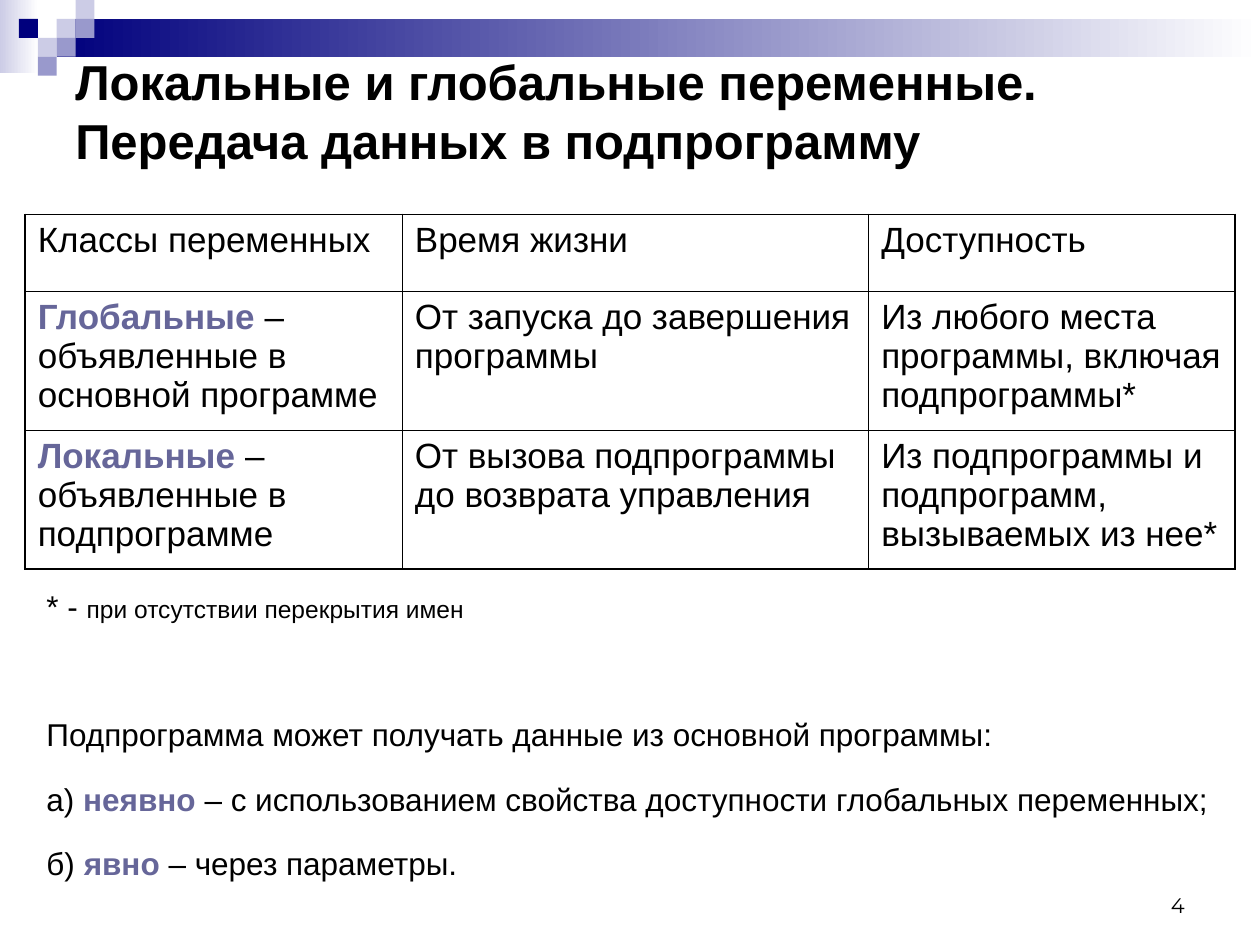
from dataclasses import dataclass

from lxml import etree
from pptx import Presentation
from pptx.dml.color import RGBColor
from pptx.enum.shapes import MSO_SHAPE
from pptx.enum.text import MSO_ANCHOR, PP_ALIGN
from pptx.oxml.ns import qn
from pptx.util import Pt

RECTANGLE = MSO_SHAPE.RECTANGLE
TOP, MIDDLE, BOTTOM = MSO_ANCHOR.TOP, MSO_ANCHOR.MIDDLE, MSO_ANCHOR.BOTTOM
LEFT, RIGHT = PP_ALIGN.LEFT, PP_ALIGN.RIGHT


@dataclass(frozen=True)
class Theme:
    text: str = "000000"
    accent: str = "666699"
    navy: str = "00007D"
    lilac: str = "9999CC"
    pale: str = "CCCCE6"
    white: str = "FFFFFF"
    font: str = "Arial"
    number_font: str = "Montserrat"
    title_size: int = 28
    table_size: int = 20
    body_size: int = 18
    note_size: int = 14
    number_size: int = 12
    outer_line: float = 1.08
    inner_line: float = 0.45


THEME = Theme()
ACCENT = {"color": THEME.accent, "bold": True}
NOTE = {"size": THEME.note_size}

SQUARE = 10.8
SQUARES = [  # column, row, colour
    (3, 1, THEME.pale), (4, 0, THEME.pale), (4, 1, THEME.lilac),
    (2, 2, THEME.pale), (1, 1, THEME.navy), (3, 2, THEME.lilac),
    (2, 3, THEME.lilac),
]

# Each text is a list of spans: (wording, format values).
TITLE = [("Локальные и глобальные переменные.\vПередача данных в подпрограмму", {"bold": True})]
TABLE_COLUMNS = (215.5, 266.5, 209.5)
TABLE_ROWS = (44, 79, 79)
TABLE_TEXT = [
    [[("Классы переменных", {})], [("Время жизни", {})], [("Доступность", {})]],
    [
        [("Глобальные", ACCENT), (" – объявленные в основной программе", {})],
        [("От запуска до завершения программы", {})],
        [("Из любого места программы, включая подпрограммы*", {})],
    ],
    [
        [("Локальные", ACCENT), (" – объявленные в подпрограмме", {})],
        [("От вызова подпрограммы до возврата управления", {})],
        [("Из подпрограммы и подпрограмм, вызываемых из нее*", {})],
    ],
]
BODY = [  # space before, spans
    (0, [("* - ", {}), ("при отсутствии перекрытия имен", NOTE)]),
    (41, [("Подпрограмма может получать данные из основной программы:", {})]),
    (4.5, [("а) ", {}), ("неявно", ACCENT),
           (" – с использованием свойства доступности глобальных переменных;", {})]),
    (4.5, [("б) ", {}), ("явно", ACCENT), (" – через параметры.", {})]),
]


def add_rectangle(page, frame, *colors):
    """Fill with one colour, or with a left-to-right gradient of two."""
    shape = page.shapes.add_shape(RECTANGLE, *map(Pt, frame))
    shape.shadow.inherit = False
    shape.line.fill.background()
    if len(colors) == 1:
        shape.fill.solid()
        shape.fill.fore_color.rgb = RGBColor.from_string(colors[0])
        return
    shape.fill.gradient()
    shape.fill.gradient_angle = 0
    for stop, color in zip(shape.fill.gradient_stops, colors):
        stop.color.rgb = RGBColor.from_string(color)


def add_banner(page):
    add_rectangle(page, (0, 0, 22, 42), THEME.pale, THEME.white)
    add_rectangle(page, (3 * SQUARE, SQUARE, 720 - 3 * SQUARE, 2 * SQUARE),
                  THEME.navy, THEME.white)
    for column, row, color in SQUARES:
        add_rectangle(page, (column * SQUARE, row * SQUARE, SQUARE, SQUARE), color)


def write_spans(para, spans, size, font=THEME.font):
    for wording, changes in spans:
        span = para.add_run()
        span.text = wording
        values = {"name": font, "size": size, "bold": False, "color": THEME.text, **changes}
        span.font.color.rgb = RGBColor.from_string(values.pop("color"))
        values["size"] = Pt(values["size"])
        for name, value in values.items():
            setattr(span.font, name, value)


def add_text(page, frame, paragraphs, size, font=THEME.font, anchor=TOP,
             align=LEFT, line_spacing=1.0):
    text_frame = page.shapes.add_textbox(*map(Pt, frame)).text_frame
    text_frame.word_wrap = True
    text_frame.vertical_anchor = anchor
    for index, (space, spans) in enumerate(paragraphs):
        para = text_frame.add_paragraph() if index else text_frame.paragraphs[0]
        layout = {"alignment": align, "line_spacing": line_spacing, "space_before": Pt(space)}
        for name, value in layout.items():
            setattr(para, name, value)
        # Soft line breaks belong to the paragraph, not to a run.
        for wording, changes in spans:
            for number, line in enumerate(wording.split("\v")):
                if number:
                    para.add_line_break()
                write_spans(para, [(line, changes)], size, font)


def set_borders(cell, widths):
    properties = cell._tc.get_or_add_tcPr()
    for position, (side, width) in enumerate(widths.items()):
        line = etree.Element(qn(f"a:{side}"), w=str(Pt(width)))
        fill = etree.SubElement(line, qn("a:solidFill"))
        etree.SubElement(fill, qn("a:srgbClr"), val=THEME.text)
        properties.insert(position, line)


def add_variable_table(page, left, top):
    last_row, last_column = len(TABLE_ROWS) - 1, len(TABLE_COLUMNS) - 1
    table = page.shapes.add_table(
        len(TABLE_ROWS), len(TABLE_COLUMNS), Pt(left), Pt(top),
        Pt(sum(TABLE_COLUMNS)), Pt(sum(TABLE_ROWS))).table
    table.first_row = table.horz_banding = False
    for column, width in zip(table.columns, TABLE_COLUMNS):
        column.width = Pt(width)
    for row, height in zip(table.rows, TABLE_ROWS):
        row.height = Pt(height)
    for r, row_text in enumerate(TABLE_TEXT):
        for c, spans in enumerate(row_text):
            cell = table.cell(r, c)
            cell.fill.background()
            write_spans(cell.text_frame.paragraphs[0], spans, THEME.table_size)
            outer = {"lnL": c == 0, "lnR": c == last_column,
                     "lnT": r == 0, "lnB": r == last_row}
            set_borders(cell, {side: THEME.outer_line if edge else THEME.inner_line
                               for side, edge in outer.items()})


def main():
    deck = Presentation()
    deck.slide_width, deck.slide_height = Pt(720), Pt(540)
    page = deck.slides.add_slide(deck.slide_layouts[6])
    add_banner(page)
    add_text(page, (516, 492, 168, 36), [(0, [("4", {})])], THEME.number_size,
             THEME.number_font, BOTTOM, RIGHT)
    add_text(page, (36, 37.5, 664.5, 51), [(0, TITLE)], THEME.title_size, anchor=MIDDLE)
    add_text(page, (19.5, 321, 700.5, 199), BODY, THEME.body_size, line_spacing=1.5)
    add_variable_table(page, 14.4, 122.5)
    deck.save("out.pptx")


if __name__ == "__main__":
    main()
